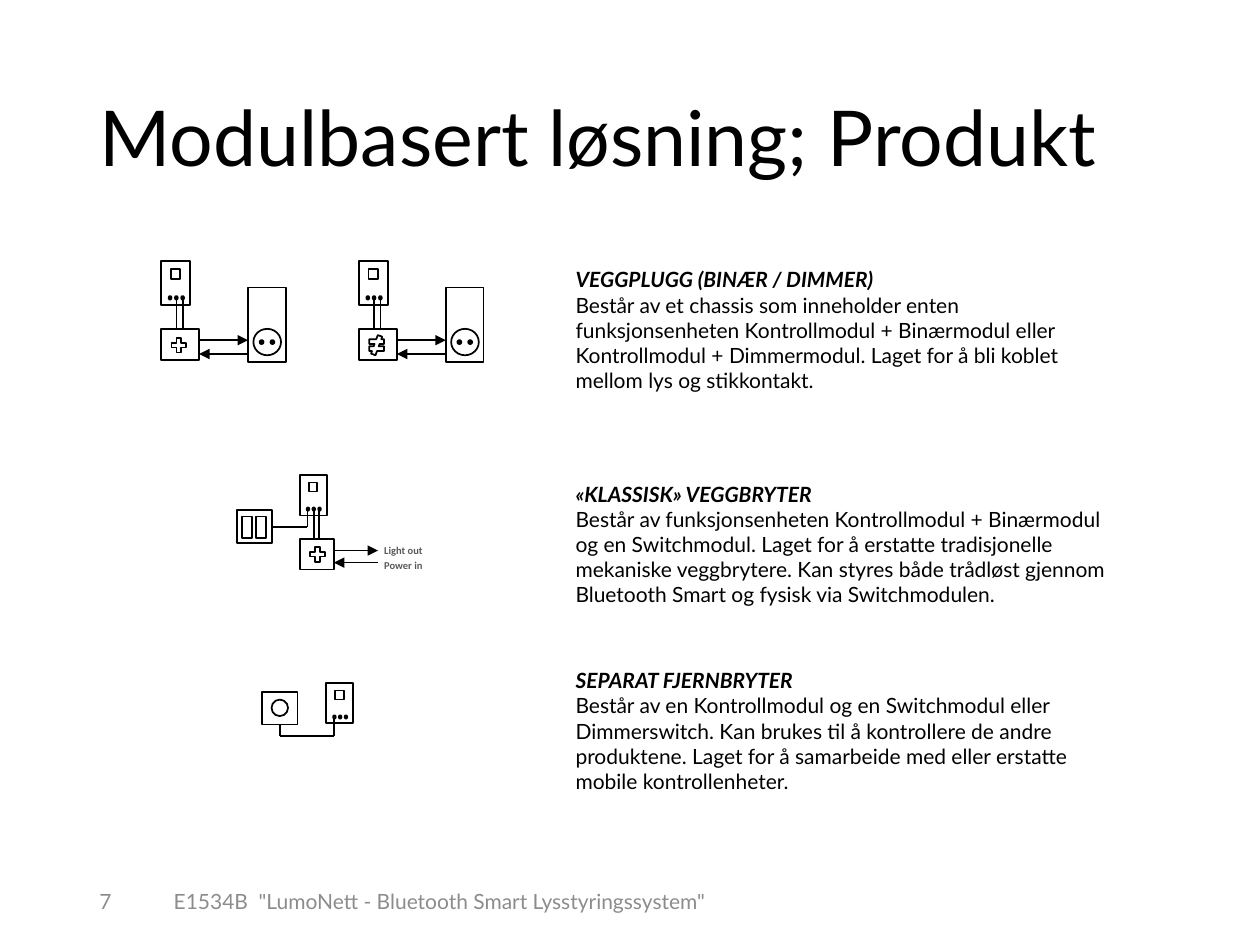
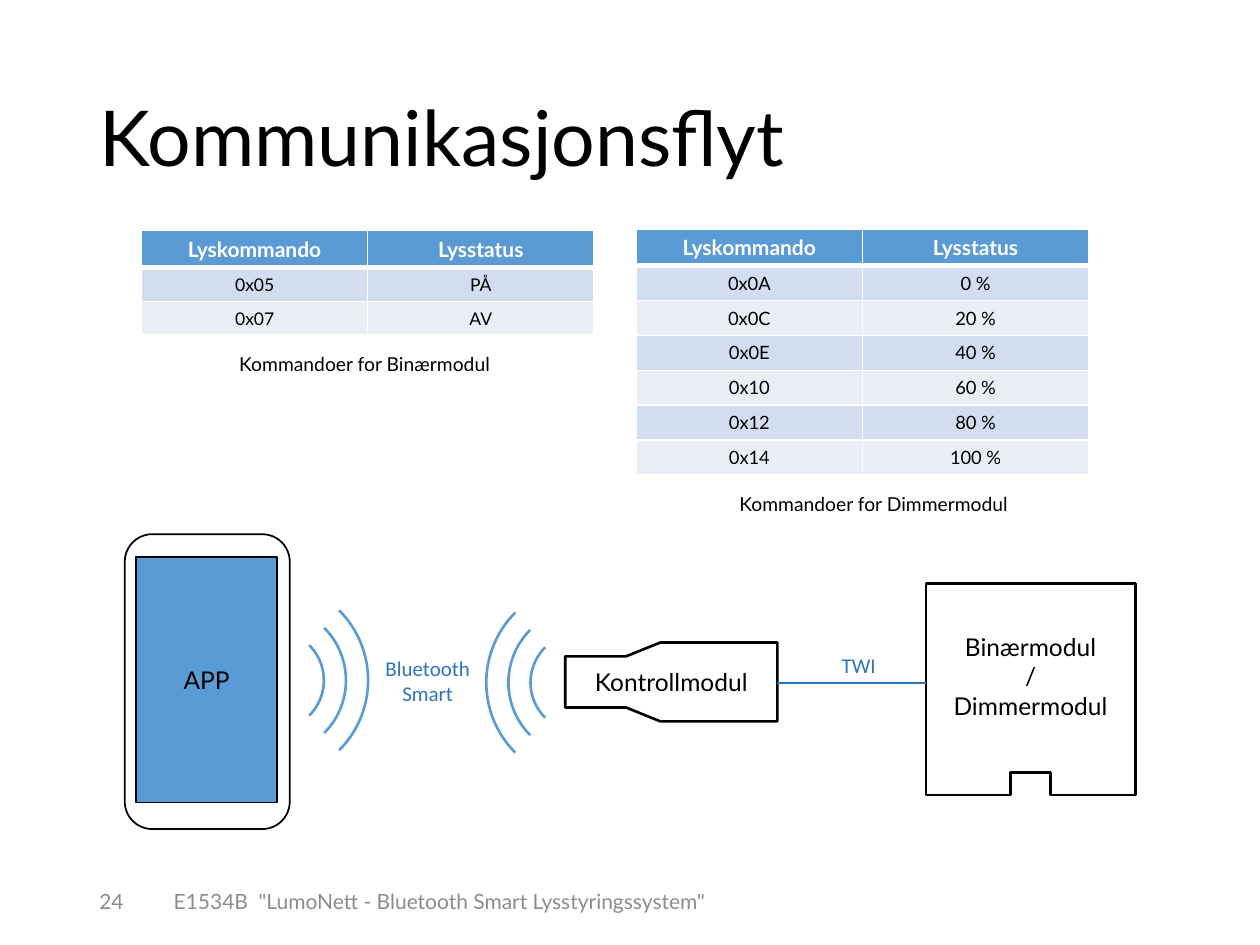
import pptx
import pptx.util
import pptx.dml.color
import pptx.enum.shapes
import pptx.enum.text
import pptx.oxml.ns
import lxml.etree

Pt = pptx.util.Pt
RGBColor = pptx.dml.color.RGBColor
Shape = pptx.enum.shapes.MSO_SHAPE
STRAIGHT = pptx.enum.shapes.MSO_CONNECTOR.STRAIGHT
Align = pptx.enum.text.PP_ALIGN
Anchor = pptx.enum.text.MSO_ANCHOR
qn = pptx.oxml.ns.qn

BLACK = RGBColor(0x00, 0x00, 0x00)
WHITE = RGBColor(0xFF, 0xFF, 0xFF)
FOOTER_GRAY = RGBColor(0x8C, 0x8C, 0x8C)
LABEL_GRAY = RGBColor(0x5A, 0x5A, 0x5A)
BLUE = RGBColor(0x5B, 0x9B, 0xD5)
DARK_BLUE = RGBColor(0x2E, 0x75, 0xB6)
BAND_DARK = RGBColor(0xD2, 0xDE, 0xEF)
BAND_LIGHT = RGBColor(0xEA, 0xEF, 0xF7)


def write_text(shape, lines, size, color=BLACK, font="Lato", align=Align.LEFT, anchor=Anchor.TOP):
    frame = shape.text_frame
    frame.word_wrap = True
    frame.vertical_anchor = anchor
    for index, line in enumerate(lines):
        paragraph = frame.paragraphs[0] if index == 0 else frame.add_paragraph()
        paragraph.alignment = align
        for part_index, part in enumerate(line.split("\n")):
            if part_index:
                paragraph.add_line_break()
            run = paragraph.add_run()
            run.text = part
            run.font.size = Pt(size)
            run.font.name = font
            run.font.color.rgb = color
    return frame


def style_outline(shape, color=BLACK, width=1):
    shape.line.color.rgb = color
    shape.line.width = Pt(width)
    lxml.etree.SubElement(shape._element.spPr, qn("a:effectLst"))


presentation = pptx.Presentation()
presentation.slide_width = Pt(720)
presentation.slide_height = Pt(540)

slides = []
for title_text, number in [("Modulbasert løsning; Produkt", "7"), ("Kommunikasjonsflyt", "24")]:
    slide = presentation.slides.add_slide(presentation.slide_layouts[5])
    title = slide.shapes.title
    title.left, title.top, title.width, title.height = Pt(49.7), Pt(28.8), Pt(620.6), Pt(104.4)
    title_frame = write_text(title, [title_text], 44, anchor=Anchor.MIDDLE)
    title_frame.auto_size = pptx.enum.text.MSO_AUTO_SIZE.NONE
    title_frame.paragraphs[0].line_spacing = 0.9
    for text, left, width in [
        ('E1534B  "LumoNett - Bluetooth Smart Lysstyringssystem"', 92.2, 330),
        (number, 49.7, 43.2),
    ]:
        footer = slide.shapes.add_textbox(Pt(left), Pt(500.4), Pt(width), Pt(28.8))
        write_text(footer, [text], 12, FOOTER_GRAY, anchor=Anchor.MIDDLE)
    slides.append(slide)

product_slide, flow_slide = slides

parts = []
wires = []
arrows = []

for x, y, scale in [(92.2, 149, 1), (205.2, 149, 1), (171.4, 271.4, 0.92), (186.5, 390.2, 0.92)]:
    parts.append((Shape.RECTANGLE, x, y, 16.6 * scale, 25.2 * scale, WHITE))
    parts.append((Shape.RECTANGLE, x + 5.4 * scale, y + 4.8 * scale, 5.4 * scale, 5.6 * scale, WHITE))
    for pin in range(3):
        pin_x = x + (4.2 + 3.6 * pin) * scale
        parts.append((Shape.FLOWCHART_CONNECTOR, pin_x, y + 20.2 * scale, 1.6 * scale, 2 * scale, BLACK))

for x, symbol in [(92.2, Shape.MATH_PLUS), (205.2, Shape.MATH_NOT_EQUAL)]:
    parts.append((Shape.RECTANGLE, x, 187.9, 21.6, 18, WHITE))
    parts.append((symbol, x + 4.3, 191.5, 11.5, 11.5, WHITE))
    parts.append((Shape.RECTANGLE, x + 49.5, 164.2, 21.6, 42.5, WHITE))
    parts.append((Shape.OVAL, x + 52.6, 187.9, 15.8, 15.1, WHITE))
    for hole_x in (x + 56.2, x + 62.4):
        parts.append((Shape.FLOWCHART_CONNECTOR, hole_x, 194.4, 2.2, 2.2, BLACK))
    for pin_x in (x + 8.6, x + 12.2):
        wires.append((pin_x, 170.6, pin_x, 187.9))
    arrows.append((x + 21.6, 194.4, x + 49.5, 194.4))
    arrows.append((x + 49.5, 202.3, x + 21.6, 202.3))

parts.append((Shape.RECTANGLE, 171.4, 308.2, 19.4, 17.3, WHITE))
parts.append((Shape.MATH_PLUS, 175.7, 311, 11.5, 11.5, WHITE))
for pin_x in (179.3, 182.2):
    wires.append((pin_x, 292.3, pin_x, 308.2))
wires.append((175.7, 291.6, 175.7, 301))
arrows.append((190.8, 314.6, 216, 314.6))
arrows.append((216, 321.5, 190.8, 321.5))

wires.append((190.8, 410.4, 190.8, 420.6))
wires.append((190.8, 420.6, 159.9, 420.6))

wall_switch = product_slide.shapes.add_shape(Shape.RECTANGLE, Pt(135.4), Pt(291.6), Pt(20.2), Pt(18.8))
remote_switch = product_slide.shapes.add_shape(Shape.RECTANGLE, Pt(149.8), Pt(395.3), Pt(20.2), Pt(18.8))
for switch, end_x, end_y, side in [(wall_switch, 175.7, 301, 3), (remote_switch, 159.9, 420.6, 2)]:
    switch.fill.solid()
    switch.fill.fore_color.rgb = WHITE
    style_outline(switch)
    wire = product_slide.shapes.add_connector(STRAIGHT, 0, 0, Pt(end_x), Pt(end_y))
    wire.begin_connect(switch, side)
    style_outline(wire)
for rocker_x in (138.4, 146.4):
    parts.append((Shape.RECTANGLE, rocker_x, 295.2, 5.8, 12.2, WHITE))
parts.append((Shape.FLOWCHART_CONNECTOR, 155.2, 399.8, 9.4, 9.4, WHITE))

for kind, x, y, width, height, color in parts:
    part = product_slide.shapes.add_shape(kind, Pt(x), Pt(y), Pt(width), Pt(height))
    part.fill.solid()
    part.fill.fore_color.rgb = color
    style_outline(part)

for line_ends in wires + arrows:
    connector = product_slide.shapes.add_connector(STRAIGHT, *[Pt(value) for value in line_ends])
    style_outline(connector)
    if line_ends in arrows:
        line_xml = connector.line._get_or_add_ln()
        lxml.etree.SubElement(line_xml, qn("a:tailEnd"), type="triangle")

terminal_label = product_slide.shapes.add_textbox(Pt(212.4), Pt(306), Pt(39.6), Pt(22.3))
label_frame = write_text(terminal_label, ["Light out\nPower in"], 6, LABEL_GRAY, "Calibri")
label_frame.paragraphs[0].line_spacing = 1.2
for run in label_frame.paragraphs[0].runs:
    run.font.bold = True

products = [
    (149, "VEGGPLUGG (BINÆR / DIMMER)",
     "Består av et chassis som inneholder enten funksjonsenheten Kontrollmodul + Binærmodul "
     "eller Kontrollmodul + Dimmermodul. Laget for å bli koblet mellom lys og stikkontakt."),
    (271.4, "«KLASSISK» VEGGBRYTER",
     "Består av funksjonsenheten Kontrollmodul + Binærmodul og en Switchmodul. Laget for å "
     "erstatte tradisjonelle mekaniske veggbrytere. Kan styres både trådløst gjennom "
     "Bluetooth Smart og fysisk via Switchmodulen."),
    (378, "SEPARAT FJERNBRYTER",
     "Består av en Kontrollmodul og en Switchmodul eller Dimmerswitch. Kan brukes til å "
     "kontrollere de andre produktene. Laget for å samarbeide med eller erstatte mobile "
     "kontrollenheter."),
]
for top, heading, description in products:
    box = product_slide.shapes.add_textbox(Pt(321.8), Pt(top), Pt(323.3), Pt(80))
    heading_run = write_text(box, [heading, description], 12).paragraphs[0].runs[0]
    heading_run.font.bold = True
    heading_run.font.italic = True

phone = flow_slide.shapes.add_shape(Shape.ROUNDED_RECTANGLE, Pt(71.3), Pt(305.3), Pt(94.3), Pt(168.5))
screen = flow_slide.shapes.add_shape(Shape.RECTANGLE, Pt(77.8), Pt(318.2), Pt(80.6), Pt(140.4))

outlines = [
    [(323, 375.1), (357.8, 375.1), (377.3, 367.2), (444.2, 367.2),
     (444.2, 412.2), (377.3, 412.2), (357.8, 404.3), (323, 404.3)],
    [(529.2, 333.4), (648.7, 333.4), (648.7, 454.3), (600.5, 454.3),
     (600.5, 441.4), (577.4, 441.4), (577.4, 454.3), (529.2, 454.3)],
]
modules = []
for outline in outlines:
    points = [(Pt(x), Pt(y)) for x, y in outline]
    builder = flow_slide.shapes.build_freeform(*points[0])
    builder.add_line_segments(points[1:], close=True)
    modules.append(builder.convert_to_shape())
control_module, light_module = modules

for shape, color, width, lines in [
    (phone, WHITE, 1, []),
    (screen, BLUE, 1, ["APP"]),
    (control_module, WHITE, 1.5, ["Kontrollmodul"]),
    (light_module, WHITE, 1.5, ["Binærmodul", "/", "Dimmermodul"]),
]:
    shape.fill.solid()
    shape.fill.fore_color.rgb = color
    style_outline(shape, width=width)
    write_text(shape, lines, 14, align=Align.CENTER, anchor=Anchor.MIDDLE)
light_module.text_frame.margin_bottom = Pt(18.7)

bus = flow_slide.shapes.add_connector(STRAIGHT, Pt(444.2), Pt(390.2), Pt(529.2), Pt(390.2))
style_outline(bus, DARK_BLUE, 1.5)

for center_x, center_y, drift, rotation in [(156.6, 388.8, -1.4, 45), (331.6, 390, 1.4, 225)]:
    for wave in range(3):
        diameter = 56.9 + 28.1 * wave
        left = center_x + drift * wave - diameter / 2
        arc = flow_slide.shapes.add_shape(
            Shape.ARC, Pt(left), Pt(center_y - diameter / 2), Pt(diameter), Pt(diameter))
        arc.rotation = rotation
        arc.fill.background()
        style_outline(arc, BLUE, 1.5)

for text, left, top, width, height in [
    ("TWI", 470.2, 369.4, 41, 21.6),
    ("Bluetooth Smart", 206.6, 370.8, 75.6, 36),
]:
    label = flow_slide.shapes.add_textbox(Pt(left), Pt(top), Pt(width), Pt(height))
    write_text(label, [text], 12, DARK_BLUE, "Calibri", Align.CENTER)

binary_rows = [("0x05", "PÅ"), ("0x07", "AV")]
dimmer_rows = [("0x0A", "0 %"), ("0x0C", "20 %"), ("0x0E", "40 %"),
               ("0x10", "60 %"), ("0x12", "80 %"), ("0x14", "100 %")]
for left, top, header_height, row_height, size, commands in [
    (80.9, 131.8, 21, 19.4, 10, binary_rows),
    (363.6, 131, 20.9, 19.9, 10.5, dimmer_rows),
]:
    rows = [("Lyskommando", "Lysstatus")] + commands
    table_height = header_height + row_height * len(commands)
    table = flow_slide.shapes.add_table(
        len(rows), 2, Pt(left), Pt(top), Pt(258.5), Pt(table_height)).table
    for row_index, row in enumerate(rows):
        is_header = row_index == 0
        table.rows[row_index].height = Pt(header_height if is_header else row_height)
        for column_index, text in enumerate(row):
            cell = table.cell(row_index, column_index)
            cell.margin_top = cell.margin_bottom = 0
            cell.vertical_anchor = Anchor.MIDDLE
            write_text(cell, [text], 12 if is_header else size,
                       WHITE if is_header else BLACK, align=Align.CENTER)
            cell.text_frame.paragraphs[0].runs[0].font.bold = is_header
            cell_properties = cell._tc.get_or_add_tcPr()
            for side in ("L", "R", "T", "B"):
                thick = (row_index, side) in [(0, "B"), (1, "T")]
                border = lxml.etree.SubElement(
                    cell_properties, qn("a:ln" + side), w=str(Pt(3 if thick else 1)))
                border_fill = lxml.etree.SubElement(border, qn("a:solidFill"))
                lxml.etree.SubElement(border_fill, qn("a:srgbClr"), val=str(WHITE))
            cell.fill.solid()
            cell.fill.fore_color.rgb = BLUE if is_header else (BAND_DARK if row_index % 2 else BAND_LIGHT)

for text, left, top, width in [
    ("Kommandoer for Binærmodul", 129.6, 198, 165.6),
    ("Kommandoer for Dimmermodul", 415.4, 277.9, 175),
]:
    caption = flow_slide.shapes.add_textbox(Pt(left), Pt(top), Pt(width), Pt(20.9))
    write_text(caption, [text], 11)

presentation.save("out.pptx")
